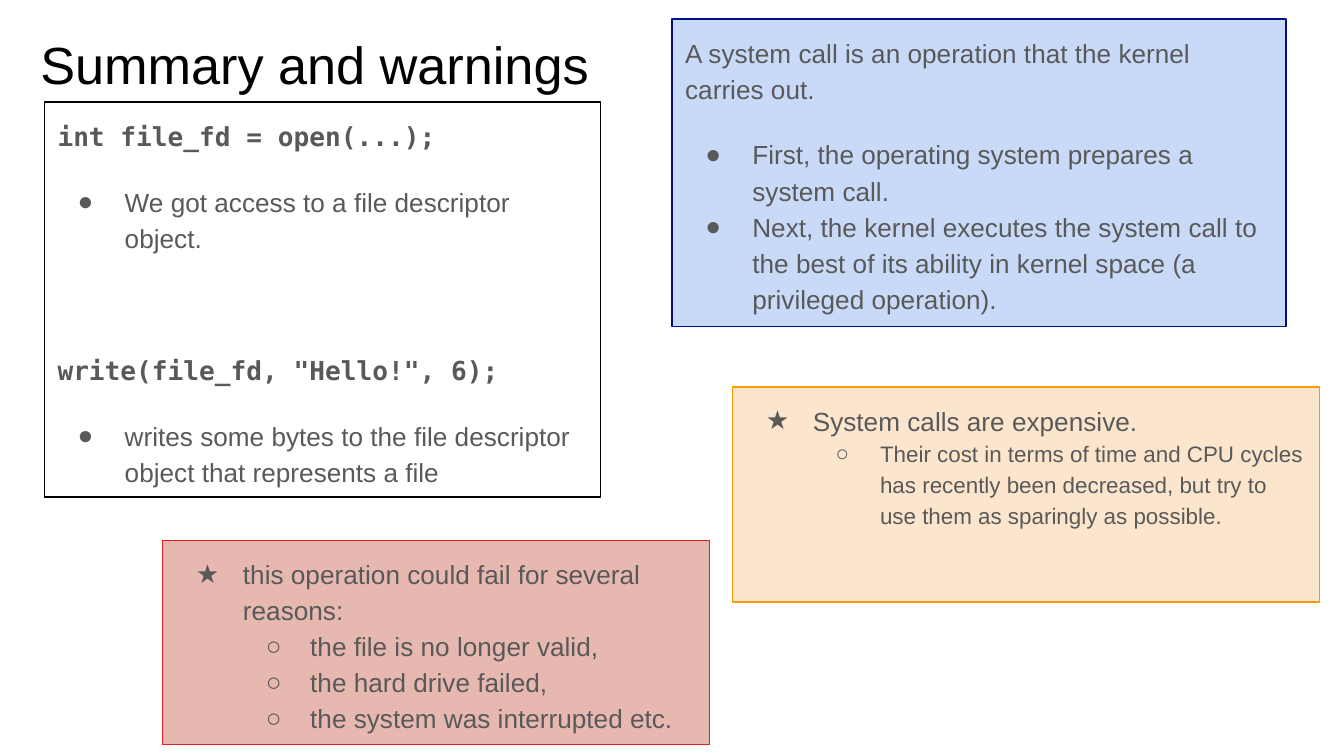
"""Build the slide that sums up system calls and their warnings."""
from lxml import etree
from pptx import Presentation
from pptx.dml.color import RGBColor
from pptx.enum.shapes import MSO_SHAPE
from pptx.enum.text import MSO_ANCHOR, PP_ALIGN
from pptx.oxml.ns import qn
from pptx.util import Inches, Pt

RECTANGLE = MSO_SHAPE.RECTANGLE
TOP = MSO_ANCHOR.TOP
LEFT = PP_ALIGN.LEFT
SANS = "Arial"
MONO = "DejaVu Sans Mono"
TITLE_LAYOUT = 5
COLORS = {
    "title": "000000",
    "text": "595959",
    "white": "FFFFFF",
    "black": "000000",
    "blue": "C9DAF8",
    "navy": "001080",
    "peach": "FCE5CD",
    "orange": "FF9900",
    "rose": "E6B8AF",
    "red": "E21F1F",
}


def color(name):
    """Return a named colour."""
    return RGBColor.from_string(COLORS[name])


def set_frame(frame):
    """Give a text frame its insets, wrapping and top anchor."""
    frame.margin_left = frame.margin_right = Inches(0.1)
    frame.margin_top = frame.margin_bottom = Inches(0.1)
    frame.word_wrap = True
    frame.vertical_anchor = TOP


def add_run(paragraph, text, size, font=SANS, bold=False, ink="text"):
    """Add one formatted run."""
    run = paragraph.add_run()
    run.text = text
    run.font.size = Pt(size)
    run.font.name = font
    run.font.bold = bold
    run.font.color.rgb = color(ink)


def set_bullet(paragraph, symbol, level):
    """Give a paragraph its hanging indent and bullet symbol."""
    paragraph.level = level
    properties = paragraph._p.get_or_add_pPr()
    properties.set("marL", str(Inches(0.5 * (level + 1))))
    properties.set("indent", str(Inches(-0.33 if level else -0.35)))
    bullet_color = etree.SubElement(properties, qn("a:buClr"))
    etree.SubElement(bullet_color, qn("a:srgbClr"), val=COLORS["text"])
    etree.SubElement(properties, qn("a:buFont"), typeface=SANS)
    etree.SubElement(properties, qn("a:buChar"), char=symbol)


def line(text, symbol=None, level=0, before=0, size=14, code=False):
    """Describe one paragraph of a box."""
    return {"text": text, "symbol": symbol, "level": level,
            "before": before, "size": size, "code": code}


def add_title(slide, text):
    """Place and fill the title placeholder."""
    title = slide.shapes.title
    title.left, title.top = Inches(0.2), Inches(0.14)
    title.width, title.height = Inches(4.34), Inches(0.63)
    set_frame(title.text_frame)
    paragraph = title.text_frame.paragraphs[0]
    paragraph.alignment = LEFT
    paragraph.line_spacing = 1.0
    add_run(paragraph, text, 28, ink="title")


def add_box(slide, bounds, fill, outline, lines):
    """Add an outlined box holding the given paragraphs."""
    shape = slide.shapes.add_shape(RECTANGLE, *map(Inches, bounds))
    shape.shadow.inherit = False
    if fill:
        shape.fill.solid()
        shape.fill.fore_color.rgb = color(fill)
    else:
        shape.fill.background()
    shape.line.color.rgb = color(outline)
    shape.line.width = Pt(0.75)
    frame = shape.text_frame
    set_frame(frame)
    for index, item in enumerate(lines):
        paragraph = frame.add_paragraph() if index else frame.paragraphs[0]
        paragraph.alignment = LEFT
        paragraph.line_spacing = 1.15
        paragraph.space_before = Pt(item["before"])
        if item["symbol"]:
            set_bullet(paragraph, item["symbol"], item["level"])
        font = MONO if item["code"] else SANS
        add_run(paragraph, item["text"], item["size"], font, item["code"])


def main():
    """Build and save the presentation."""
    presentation = Presentation()
    presentation.slide_width = Inches(10)
    presentation.slide_height = Inches(10) * 9 // 16
    slide = presentation.slides.add_slide(presentation.slide_layouts[TITLE_LAYOUT])
    slide.background.fill.solid()
    slide.background.fill.fore_color.rgb = color("white")
    add_title(slide, "Summary and warnings")
    add_box(slide, (0.33, 0.76, 4.14, 2.94), None, "black", [
        line("int file_fd = open(...);", code=True),
        line("We got access to a file descriptor object.", "●", before=16),
        line('write(file_fd, "Hello!", 6);', before=51.5, code=True),
        line("writes some bytes to the file descriptor object that "
             "represents a file", "●", before=16),
    ])
    add_box(slide, (5.45, 2.88, 4.37, 1.6), "peach", "orange", [
        line("System calls are expensive.", "★"),
        line("Their cost in terms of time and CPU cycles has recently been "
             "decreased, but try to use them as sparingly as possible.",
             "○", level=1, size=12),
    ])
    add_box(slide, (5, 0.14, 4.57, 2.29), "blue", "navy", [
        line("A system call is an operation that the kernel carries out."),
        line("First, the operating system prepares a system call.", "●", before=16),
        line("Next, the kernel executes the system call to the best of its "
             "ability in kernel space (a privileged operation).", "●"),
    ])
    reasons = ["the file is no longer valid,", "the hard drive failed,",
               "the system was interrupted etc."]
    add_box(slide, (1.21, 4.02, 4.07, 1.52), "rose", "red", [
        line("this operation could fail for several reasons:", "★"),
        *[line(reason, "○", level=1) for reason in reasons],
    ])
    presentation.save("out.pptx")


if __name__ == "__main__":
    main()
